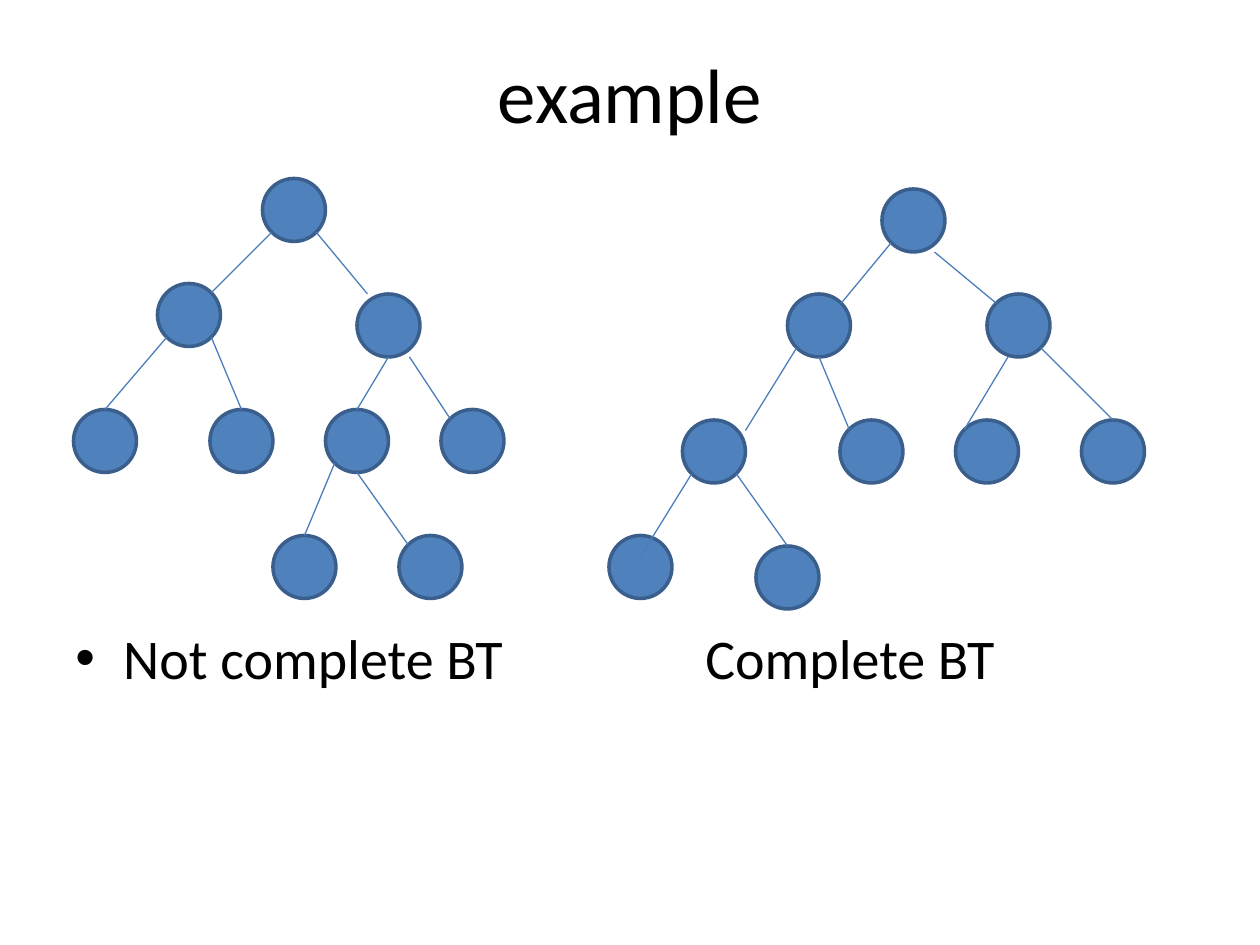
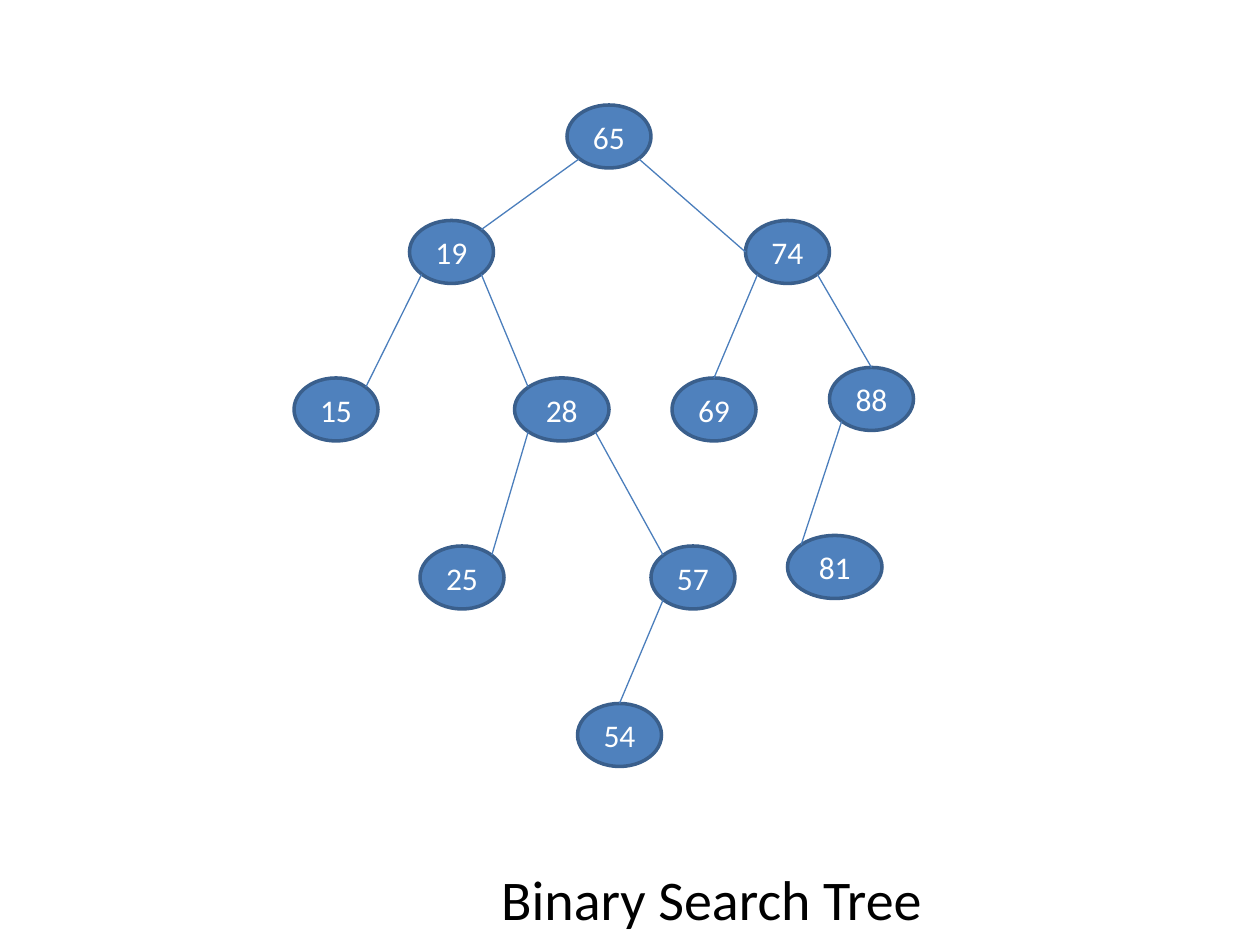
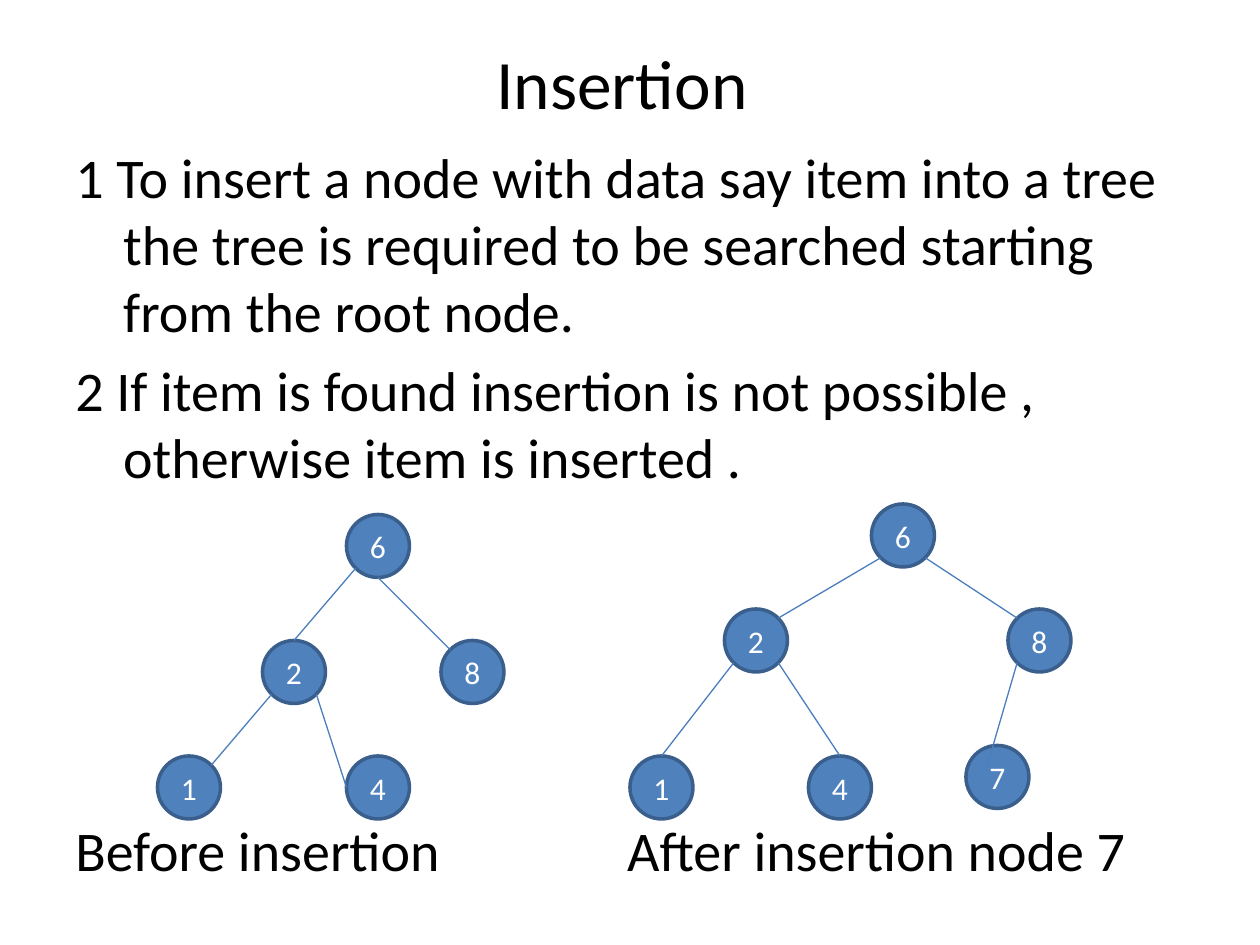
"""Build three slides on complete trees, search trees and insertion."""
from collections import namedtuple
from dataclasses import dataclass
from pptx import Presentation
from pptx.dml.color import RGBColor
from pptx.enum.shapes import MSO_CONNECTOR, MSO_SHAPE
from pptx.enum.text import MSO_ANCHOR, PP_ALIGN
from pptx.oxml.ns import qn
from pptx.util import Inches, Pt
from lxml.etree import SubElement


@dataclass(frozen=True)
class Theme:
    font: str = "Calibri"
    ink: str = "000000"
    light: str = "FFFFFF"
    fill: str = "4F81BD"
    rim: str = "3A5F8C"
    edge: str = "4B7EBC"
    title: float = 44
    small: float = 39.6
    body: float = 32
    label: float = 18
    rim_w: float = 2
    edge_w: float = 0.75
    gap: float = 6.4
    hang: float = 0.38


T = Theme()
CELL = Inches(1) // 12
TALL = 6
LEFT, WIDE = 0.5, 9
DIAG = 0.71
PORTS = {
    "n": (0, -1), "s": (0, 1), "w": (-1, 0),
    "nw": (-DIAG, -DIAG), "ne": (DIAG, -DIAG),
    "sw": (-DIAG, DIAG), "se": (DIAG, DIAG),
    "nnw": (-2 / 3, -1), "sse": (2 / 3, 1), "ssw": (-1 / 3, 1),
    "ene": (1, -2 / 3), "top": (0, -1 / 3), "inner": (-1 / 3, -1 / 3),
}

Node = namedtuple("Node", "label col row wide parent leave arrive",
                  defaults=(6, None, None, None))

LOOSE = [
    Node("", 25, 17),
    Node("", 15, 27, 6, 0, "sw", "ne"),
    Node("", 34, 28, 6, 0, "se", "nnw"),
    Node("", 7, 39, 6, 1, "sw", "n"),
    Node("", 20, 39, 6, 1, "se", "n"),
    Node("", 31, 39, 6, 2, "s", "n"),
    Node("", 42, 39, 6, 2, "sse", "nw"),
    Node("", 26, 51, 6, 5, "sw", "n"),
    Node("", 38, 51, 6, 5, "s", "nw"),
]
FULL = [
    Node("", 84, 18),
    Node("", 75, 28, 6, 0, "sw", "ne"),
    Node("", 94, 28, 6, 0, "sse", "nw"),
    Node("", 65, 40, 6, 1, "sw", "ene"),
    Node("", 80, 40, 6, 1, "s", "nw"),
    Node("", 91, 40, 6, 2, "ssw", "nw"),
    Node("", 103, 40, 6, 2, "se", "n"),
    Node("", 58, 51, 6, 3, "sw", "top"),
    Node("", 72, 52, 6, 3, "se", "n"),
]
SEARCH = [
    Node("65", 54, 10, 8),
    Node("19", 39, 21, 8, 0, "sw", "ne"),
    Node("74", 71, 21, 8, 0, "se", "w"),
    Node("15", 28, 36, 8, 1, "sw", "ne"),
    Node("28", 49, 36, 9, 1, "se", "nw"),
    Node("69", 64, 36, 8, 2, "sw", "n"),
    Node("88", 79, 35, 8, 2, "se", "n"),
    Node("25", 40, 52, 8, 4, "sw", "ne"),
    Node("57", 62, 52, 8, 4, "se", "nw"),
    Node("54", 55, 67, 8, 8, "sw", "n"),
    Node("81", 75, 51, 9, 6, "sw", "nw"),
]
BEFORE = [
    Node("6", 33, 49),
    Node("2", 25, 61, 6, 0, "sw", "n"),
    Node("8", 42, 61, 6, 0, "s", "nw"),
    Node("1", 15, 72, 6, 1, "sw", "ne"),
    Node("4", 33, 72, 6, 1, "se", "w"),
]
AFTER = [
    Node("6", 83, 48),
    Node("2", 69, 58, 6, 0, "sw", "ne"),
    Node("8", 96, 58, 6, 0, "se", "nw"),
    Node("1", 60, 72, 6, 1, "sw", "n"),
    Node("4", 77, 72, 6, 1, "se", "n"),
    Node("7", 92, 71, 6, 2, "sw", "inner"),
]
STEPS = [
    "1 To insert a node with data say item into a tree the tree is required "
    "to be searched starting from the root node.",
    "2 If item is found insertion is not possible , otherwise item is inserted .",
]
CENTRED = dict(align=PP_ALIGN.CENTER, anchor=MSO_ANCHOR.MIDDLE)
SLIDES = [
    dict(trees=[LOOSE, FULL], texts=[
        (["example"], (LEFT, 0.3, WIDE, 0.87), dict(size=T.title, **CENTRED)),
        (["Not complete BT"], (LEFT, 4.9, 4.5, 0.65), dict(hang=T.hang, bullet="•")),
        (["Complete BT"], (5.5, 4.9, 4, 0.65), {}),
    ]),
    dict(trees=[SEARCH], texts=[
        (["Binary Search Tree"], (3.88, 6.81, 5.5, 0.65), {}),
    ]),
    dict(trees=[BEFORE, AFTER], texts=[
        (["Insertion "], (LEFT, 0.3, WIDE, 0.7), dict(size=T.small, **CENTRED)),
        (STEPS, (LEFT, 1.08, WIDE, 2.9), dict(hang=T.hang)),
        (["Before insertion"], (LEFT, 6.42, 4, 0.65), {}),
        (["After insertion node 7"], (4.88, 6.42, 4.6, 0.65), {}),
    ]),
]


def tint(code):
    return RGBColor.from_string(code)


def write(frame, lines, size=T.body, color=T.ink, align=PP_ALIGN.LEFT,
          anchor=MSO_ANCHOR.TOP, hang=0, bullet=None):
    frame.word_wrap = True
    frame.vertical_anchor = anchor
    for i, line in enumerate(lines):
        para = frame.add_paragraph() if i else frame.paragraphs[0]
        para.alignment = align
        para.space_before = Pt(T.gap if i else 0)
        run = para.add_run()
        run.text = line
        run.font.name, run.font.size = T.font, Pt(size)
        run.font.color.rgb = tint(color)
        props = para._p.get_or_add_pPr()
        if hang:
            props.set("marL", str(Inches(hang)))
            props.set("indent", str(-Inches(hang)))
        if bullet:
            SubElement(props, qn("a:buFont"), typeface="Arial")
            SubElement(props, qn("a:buChar"), char=bullet)


def draw(slide, node):
    size = (CELL * n for n in (node.col, node.row, node.wide, TALL))
    disc = slide.shapes.add_shape(MSO_SHAPE.FLOWCHART_CONNECTOR, *size)
    disc.shadow.inherit = False
    disc.fill.solid()
    disc.fill.fore_color.rgb = tint(T.fill)
    disc.line.color.rgb = tint(T.rim)
    disc.line.width = Pt(T.rim_w)
    if node.label:
        frame = disc.text_frame
        frame.margin_left = frame.margin_right = 0
        write(frame, [node.label], size=T.label, color=T.light, **CENTRED)
    return disc


def spot(node, port):
    dx, dy = PORTS[port]
    return (round(CELL * (node.col + node.wide / 2 * (1 + dx))),
            round(CELL * (node.row + TALL / 2 * (1 + dy))))


def link(slide, top, node, disc):
    line = slide.shapes.add_connector(
        MSO_CONNECTOR.STRAIGHT, *spot(top, node.leave), *spot(node, node.arrive))
    line.line.color.rgb = tint(T.edge)
    line.line.width = Pt(T.edge_w)
    SubElement(line._element.spPr, qn("a:effectLst"))
    if node.arrive == "n":
        line.end_connect(disc, 0)


def grow(slide, tree):
    discs = [draw(slide, node) for node in tree]
    for node, disc in zip(tree, discs):
        if node.parent is not None:
            link(slide, tree[node.parent], node, disc)


def main():
    deck = Presentation()
    deck.slide_width, deck.slide_height = Inches(10), Inches(7.5)
    for page in SLIDES:
        slide = deck.slides.add_slide(deck.slide_layouts[6])
        for lines, box, style in page["texts"]:
            area = slide.shapes.add_textbox(*map(Inches, box))
            write(area.text_frame, lines, **style)
        for tree in page["trees"]:
            grow(slide, tree)
    deck.save("out.pptx")


if __name__ == "__main__":
    main()
